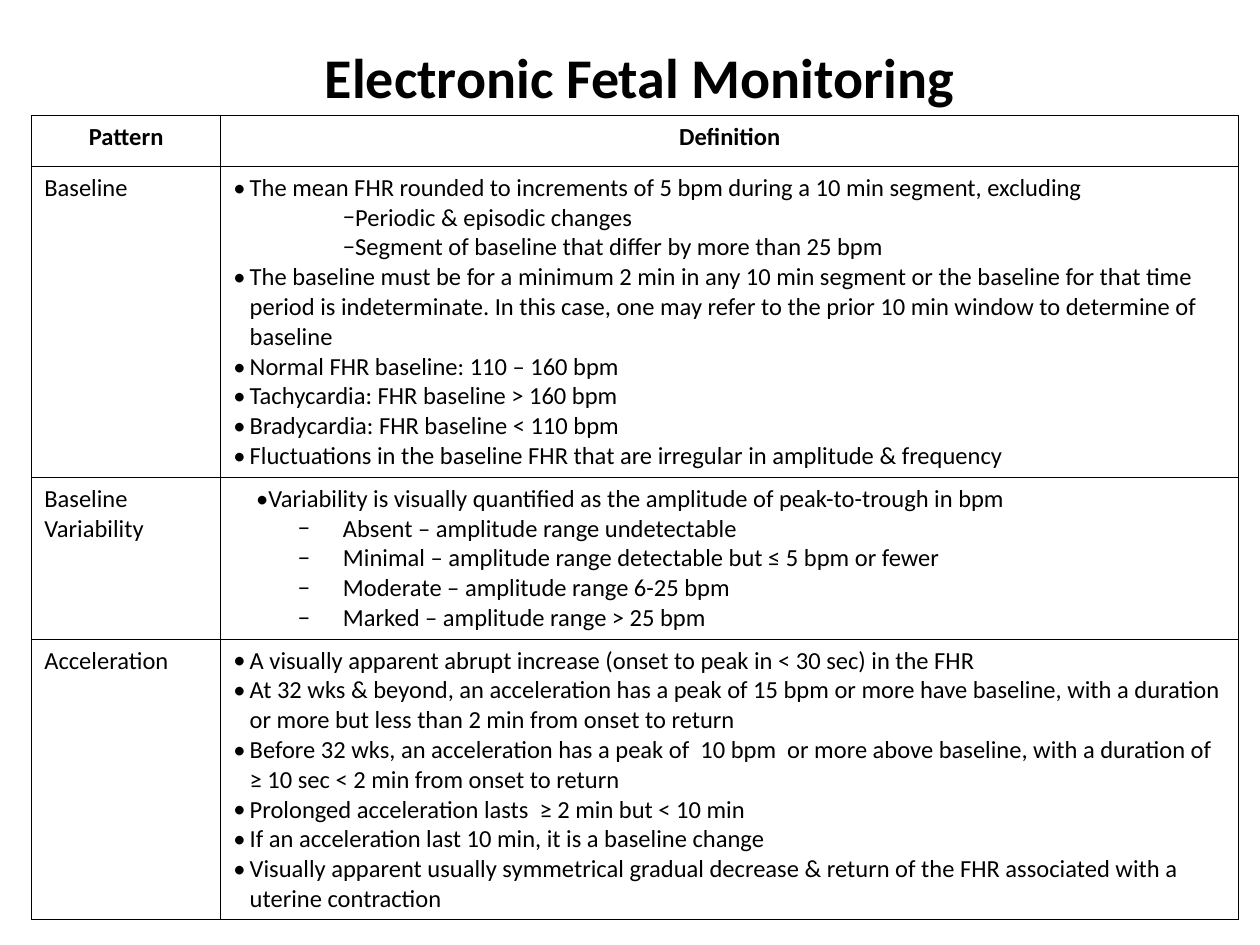
from dataclasses import dataclass

from lxml.etree import SubElement
from pptx import Presentation
from pptx.dml.color import RGBColor
from pptx.enum.text import MSO_ANCHOR, PP_ALIGN
from pptx.oxml.ns import qn
from pptx.util import Cm, Pt

FONT = "Calibri"
BLACK = "000000"
BORDER_SIDES = ("a:lnL", "a:lnR", "a:lnT", "a:lnB")


@dataclass(frozen=True)
class ListStyle:
    """Bullet character with left margin and first-line indent in cm."""
    char: str
    margin: float
    indent: float


@dataclass(frozen=True)
class Item:
    """One list paragraph of a definition."""
    text: str
    style: ListStyle


@dataclass(frozen=True)
class PatternRow:
    """One monitoring pattern with its definition and row height in cm."""
    name: str
    height: float
    items: tuple[Item, ...]


POINT = ListStyle("•", 0.33, -0.33)
LEAD = ListStyle("•", 0, 0.46)
EXCLUSION = ListStyle("−", 1.42, 0.79)
GRADE = ListStyle("−", 2.21, -0.91)

HEADER_HEIGHT = 1.03
COLUMN_WIDTHS = (3.81, 20.52)
ROWS = (
    PatternRow("Baseline", 6.27, (
        Item("The mean FHR rounded to increments of 5 bpm during a 10 min segment, "
             "excluding", POINT),
        Item("Periodic & episodic changes", EXCLUSION),
        Item("Segment of baseline that differ by more than 25 bpm", EXCLUSION),
        Item("The baseline must be for a minimum 2 min in any 10 min segment or the "
             "baseline for that time period is indeterminate. In this case, one may "
             "refer to the prior 10 min window to determine of baseline", POINT),
        Item("Normal FHR baseline: 110 – 160 bpm", POINT),
        Item("Tachycardia: FHR baseline > 160 bpm", POINT),
        Item("Bradycardia: FHR baseline < 110 bpm", POINT),
        Item("Fluctuations in the baseline FHR that are irregular in amplitude & "
             "frequency", POINT),
    )),
    PatternRow("Baseline Variability", 3.26, (
        Item("Variability is visually quantified as the amplitude of peak-to-trough "
             "in bpm", LEAD),
        Item("Absent – amplitude range undetectable", GRADE),
        Item("Minimal – amplitude range detectable but ≤ 5 bpm or fewer", GRADE),
        Item("Moderate – amplitude range 6-25 bpm", GRADE),
        Item("Marked – amplitude range > 25 bpm", GRADE),
    )),
    PatternRow("Acceleration", 5.65, (
        Item("A visually apparent abrupt increase (onset to peak in < 30 sec) in the "
             "FHR", POINT),
        Item("At 32 wks & beyond, an acceleration has a peak of 15 bpm or more have "
             "baseline, with a duration or more but less than 2 min from onset to "
             "return", POINT),
        Item("Before 32 wks, an acceleration has a peak of  10 bpm  or more above "
             "baseline, with a duration of ≥ 10 sec < 2 min from onset to return",
             POINT),
        Item("Prolonged acceleration lasts  ≥ 2 min but < 10 min", POINT),
        Item("If an acceleration last 10 min, it is a baseline change", POINT),
        Item("Visually apparent usually symmetrical gradual decrease & return of the "
             "FHR associated with a uterine contraction", POINT),
    )),
)


def color(value: str) -> RGBColor:
    """Turn a hex string into a colour."""
    return RGBColor.from_string(value)


def add_run(p, text: str, size: float = 14, bold: bool = False) -> None:
    """Append a formatted run to a paragraph."""
    r = p.add_run()
    r.text = text
    r.font.name = FONT
    r.font.size = Pt(size)
    r.font.bold = bold
    r.font.color.rgb = color(BLACK)


def set_bullet(p, style: ListStyle) -> None:
    """Give a paragraph its bullet and indents."""
    pPr = p._p.get_or_add_pPr()
    pPr.set("marL", str(Cm(style.margin)))
    pPr.set("indent", str(Cm(style.indent)))
    SubElement(pPr, qn("a:buFont"), typeface=FONT)
    SubElement(pPr, qn("a:buChar"), char=style.char)


def style_cell(cell) -> None:
    """Draw the cell borders and remove its fill."""
    tcPr = cell._tc.get_or_add_tcPr()
    for side in BORDER_SIDES:
        ln = SubElement(tcPr, qn(side), w=str(Pt(1)))
        fill = SubElement(ln, qn("a:solidFill"))
        SubElement(fill, qn("a:srgbClr"), val=BLACK)
    cell.fill.background()


def add_title(s, text: str) -> None:
    """Add the centred slide title."""
    tf = s.shapes.add_textbox(Cm(1.47), Cm(0.64), Cm(22.86), Cm(1.78)).text_frame
    tf.word_wrap = True
    tf.vertical_anchor = MSO_ANCHOR.MIDDLE
    p = tf.paragraphs[0]
    p.alignment = PP_ALIGN.CENTER
    add_run(p, text, 32, True)


def fill_definition(cell, items: tuple[Item, ...]) -> None:
    """Write the list paragraphs of a definition into a cell."""
    tf = cell.text_frame
    for i, item in enumerate(items):
        p = tf.add_paragraph() if i else tf.paragraphs[0]
        set_bullet(p, item.style)
        add_run(p, item.text)


def add_pattern_table(s) -> None:
    """Add the table of patterns and definitions."""
    heights = (HEADER_HEIGHT, *(row.height for row in ROWS))
    table = s.shapes.add_table(
        len(heights), len(COLUMN_WIDTHS), Cm(0.64), Cm(2.33),
        Cm(sum(COLUMN_WIDTHS)), Cm(sum(heights))).table
    table.first_row = table.horz_banding = False
    for column, width in zip(table.columns, COLUMN_WIDTHS):
        column.width = Cm(width)
    for row, height in zip(table.rows, heights):
        row.height = Cm(height)
    for cell in table.iter_cells():
        style_cell(cell)
    for i, heading in enumerate(("Pattern", "Definition")):
        p = table.cell(0, i).text_frame.paragraphs[0]
        p.alignment = PP_ALIGN.CENTER
        add_run(p, heading, bold=True)
    for i, row in enumerate(ROWS, start=1):
        add_run(table.cell(i, 0).text_frame.paragraphs[0], row.name)
        fill_definition(table.cell(i, 1), row.items)


def main() -> None:
    """Build and save the slide."""
    prs = Presentation()
    prs.slide_width, prs.slide_height = Cm(25.4), Cm(19.05)
    s = prs.slides.add_slide(prs.slide_layouts[6])
    add_title(s, "Electronic Fetal Monitoring")
    add_pattern_table(s)
    prs.save("out.pptx")


main()
